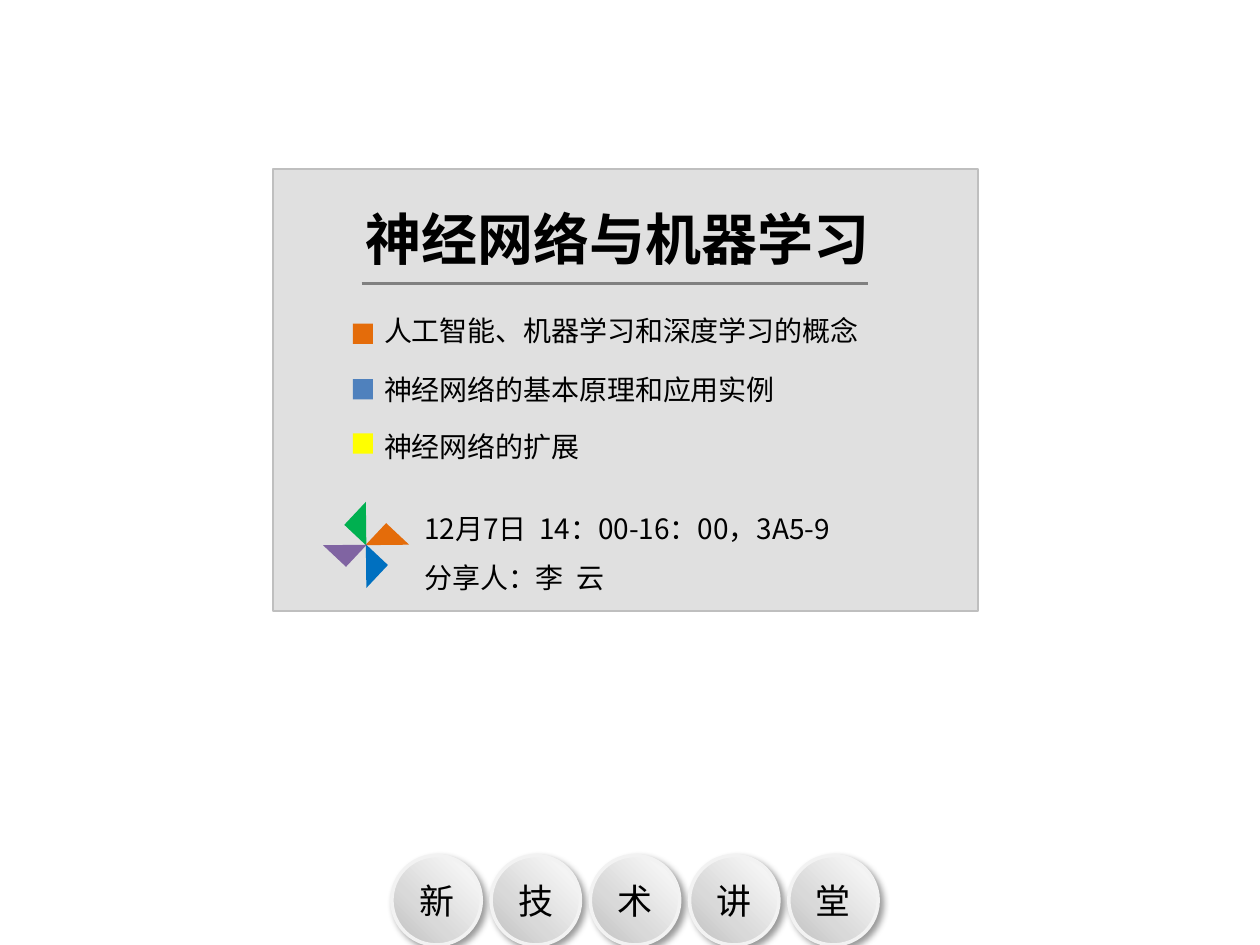
"""Build the title slide of a talk on neural networks and machine learning."""
from dataclasses import dataclass

from lxml import etree
from pptx import Presentation
from pptx.dml.color import RGBColor
from pptx.enum.shapes import MSO_CONNECTOR, MSO_SHAPE
from pptx.enum.text import MSO_ANCHOR, PP_ALIGN
from pptx.oxml import parse_xml
from pptx.oxml.ns import qn
from pptx.util import Pt

RECTANGLE, OVAL, TRIANGLE = MSO_SHAPE.RECTANGLE, MSO_SHAPE.OVAL, MSO_SHAPE.RIGHT_TRIANGLE
STRAIGHT = MSO_CONNECTOR.STRAIGHT
TOP, MIDDLE = MSO_ANCHOR.TOP, MSO_ANCHOR.MIDDLE
LEFT, CENTER = PP_ALIGN.LEFT, PP_ALIGN.CENTER

BLACK = RGBColor(0x00, 0x00, 0x00)
WHITE = RGBColor(0xFF, 0xFF, 0xFF)
PALE_GRAY = RGBColor(0xF2, 0xF2, 0xF2)
LIGHT_GRAY = RGBColor(0xD9, 0xD9, 0xD9)
MEDIUM_GRAY = RGBColor(0xBF, 0xBF, 0xBF)
DARK_GRAY = RGBColor(0x80, 0x80, 0x80)
ORANGE = RGBColor(0xE4, 0x6C, 0x0A)
STEEL_BLUE = RGBColor(0x4F, 0x81, 0xBD)
YELLOW = RGBColor(0xFF, 0xFF, 0x00)
GREEN = RGBColor(0x00, 0xB0, 0x50)
BLUE = RGBColor(0x00, 0x70, 0xC0)
PURPLE = RGBColor(0x80, 0x64, 0xA2)

FONT = "Noto Sans CJK SC"
NAMESPACE = 'xmlns:a="http://schemas.openxmlformats.org/drawingml/2006/main"'
TEXT_WIDTH, LINE_HEIGHT = 306, 26.6
BULLET_LEFT, BULLET_SIZE = 201.6, 11.5
BADGE_LEFT, BADGE_TOP, BADGE_SIZE, BADGE_STEP = 223.9, 488.9, 51.1, 56.7
BADGE_STOPS = ((0, WHITE), (63, LIGHT_GRAY), (100, MEDIUM_GRAY))
WHEEL_X, WHEEL_Y, WHEEL_RADIUS = 209.2, 311.4, 12.1
BLADE_WIDTH, BLADE_HEIGHT, BLADE_TURN = 17.3, 18, 43.2


@dataclass(frozen=True)
class Topic:
    text: str
    text_top: float
    bullet_top: float
    color: RGBColor


@dataclass(frozen=True)
class Detail:
    text: str
    top: float


@dataclass(frozen=True)
class Blade:
    color: RGBColor
    across: int
    down: int


TOPICS = (
    Topic("人工智能、机器学习和深度学习的概念", 175.7, 185, ORANGE),
    Topic("神经网络的基本原理和应用实例", 209.5, 216.7, STEEL_BLUE),
    Topic("神经网络的扩展", 241.9, 247.7, YELLOW),
)
DETAILS = (
    Detail("12月7日  14：00-16：00，3A5-9", 288.7),
    Detail("分享人：李  云", 316.8),
)
BLADES = (Blade(GREEN, 0, -1), Blade(ORANGE, 1, 0), Blade(BLUE, 0, 1), Blade(PURPLE, -1, 0))


def place(box, left: float, top: float, width: float, height: float) -> None:
    """Set the position and size of a box."""
    box.left, box.top, box.width, box.height = Pt(left), Pt(top), Pt(width), Pt(height)


def write(box, text: str, size: float, bold: bool = False, align=LEFT, anchor=TOP) -> None:
    """Write one line of text into a box."""
    frame = box.text_frame
    frame.word_wrap = True
    frame.vertical_anchor = anchor
    para = frame.paragraphs[0]
    para.alignment = align
    span = para.add_run()
    span.text = text
    font = span.font
    font.name, font.size, font.bold = FONT, Pt(size), bold
    font.color.rgb = BLACK
    span.font.color.rgb = BLACK
    properties = span._r.get_or_add_rPr()
    etree.SubElement(properties, qn("a:ea")).set("typeface", FONT)


def add_text(shapes, text: str, left: float, top: float) -> None:
    """Add a line of body text."""
    box = shapes.add_textbox(Pt(left), Pt(top), Pt(TEXT_WIDTH), Pt(LINE_HEIGHT))
    write(box, text, 16)


def add_block(shapes, kind, left: float, top: float, width: float, height: float, color: RGBColor):
    """Add a flat shape without outline or shadow."""
    block = shapes.add_shape(kind, Pt(left), Pt(top), Pt(width), Pt(height))
    block.shadow.inherit = False
    block.fill.solid()
    block.fill.fore_color.rgb = color
    block.line.fill.background()
    return block


def outline(shape, color: RGBColor, width: float) -> None:
    """Give a shape a solid outline."""
    shape.line.color.rgb = color
    shape.line.width = Pt(width)


def add_panel(shapes) -> None:
    """Add the translucent panel behind the text."""
    panel = add_block(shapes, RECTANGLE, 156.2, 96.5, 402.5, 252.7, LIGHT_GRAY)
    outline(panel, MEDIUM_GRAY, 1)
    color = panel._element.spPr.find(qn("a:solidFill")).find(qn("a:srgbClr"))
    etree.SubElement(color, qn("a:alpha")).set("val", "80000")


def add_badge(shapes, text: str, left: float) -> None:
    """Add a round shaded badge with one character."""
    badge = add_block(shapes, OVAL, left, BADGE_TOP, BADGE_SIZE, BADGE_SIZE, LIGHT_GRAY)
    outline(badge, PALE_GRAY, 2)
    properties = badge._element.spPr
    stops = "".join(
        f'<a:gs pos="{position * 1000}"><a:srgbClr val="{color}"/></a:gs>'
        for position, color in BADGE_STOPS
    )
    gradient = parse_xml(
        f'<a:gradFill {NAMESPACE} rotWithShape="1"><a:gsLst>{stops}</a:gsLst>'
        '<a:lin ang="8100000" scaled="0"/></a:gradFill>'
    )
    properties.replace(properties.find(qn("a:solidFill")), gradient)
    properties.find(qn("a:effectLst")).append(parse_xml(
        f'<a:outerShdw {NAMESPACE} blurRad="{Pt(4)}" dist="{Pt(3)}" dir="2700000" '
        f'algn="tl" rotWithShape="0"><a:srgbClr val="{BLACK}">'
        '<a:alpha val="40000"/></a:srgbClr></a:outerShdw>'
    ))
    write(badge, text, 20, align=CENTER, anchor=MIDDLE)


def add_title(slide) -> None:
    """Set the title in front of the panel and underline it."""
    title = slide.shapes.title
    place(title, 201.6, 113, TEXT_WIDTH, 46.1)
    write(title, "神经网络与机器学习", 32, bold=True)
    title._element.getparent().append(title._element)
    rule = slide.shapes.add_connector(STRAIGHT, Pt(206.6), Pt(162), Pt(496.1), Pt(162))
    outline(rule, DARK_GRAY, 1.25)
    etree.SubElement(rule._element.spPr, qn("a:effectLst"))


def add_pinwheel(shapes) -> None:
    """Add four blades turned around a common centre."""
    wheel = shapes.add_group_shape().shapes
    for index, blade in enumerate(BLADES):
        left = WHEEL_X + blade.across * WHEEL_RADIUS - BLADE_WIDTH / 2
        top = WHEEL_Y + blade.down * WHEEL_RADIUS - BLADE_HEIGHT / 2
        shape = add_block(wheel, TRIANGLE, left, top, BLADE_WIDTH, BLADE_HEIGHT, blade.color)
        shape.rotation = BLADE_TURN + 90 * index


def main() -> None:
    """Build and save the deck."""
    deck = Presentation()
    deck.slide_width, deck.slide_height = Pt(720), Pt(540)
    page = deck.slides.add_slide(deck.slide_layouts[5])
    page.background.fill.solid()
    page.background.fill.fore_color.rgb = WHITE
    shapes = page.shapes
    add_panel(shapes)
    badges = shapes.add_group_shape().shapes
    for index, character in enumerate("新技术讲堂"):
        add_badge(badges, character, BADGE_LEFT + index * BADGE_STEP)
    add_title(page)
    for topic in TOPICS:
        add_text(shapes, topic.text, 212.4, topic.text_top)
        add_block(shapes, RECTANGLE, BULLET_LEFT, topic.bullet_top,
                  BULLET_SIZE, BULLET_SIZE, topic.color)
    for detail in DETAILS:
        add_text(shapes, detail.text, 235.4, detail.top)
    add_pinwheel(shapes)
    deck.save("out.pptx")


main()
